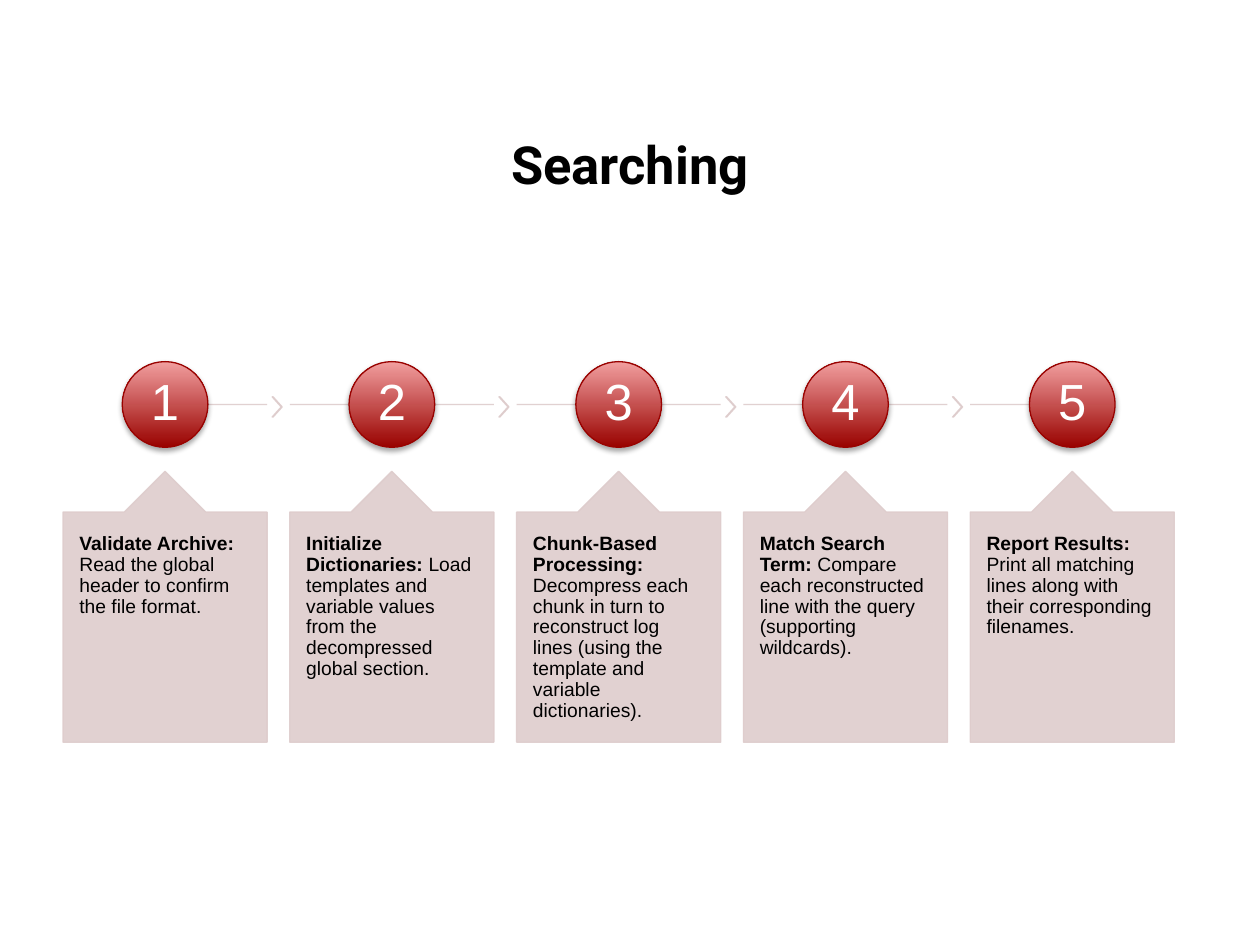
from lxml import etree
from pptx import Presentation
from pptx.dml.color import RGBColor
from pptx.enum.shapes import MSO_CONNECTOR, MSO_SHAPE
from pptx.enum.text import MSO_ANCHOR, PP_ALIGN
from pptx.oxml.ns import qn
from pptx.util import Inches, Pt

LINE = MSO_CONNECTOR.STRAIGHT
CHEVRON, CIRCLE, CALLOUT = MSO_SHAPE.CHEVRON, MSO_SHAPE.OVAL, MSO_SHAPE.UP_ARROW_CALLOUT
TOP, MIDDLE = MSO_ANCHOR.TOP, MSO_ANCHOR.MIDDLE
LEFT, CENTER = PP_ALIGN.LEFT, PP_ALIGN.CENTER

STEPS = [
    ("Validate Archive:", " Read the global header to confirm the file format."),
    ("Initialize Dictionaries:", " Load templates and variable values from the decompressed global section."),
    ("Chunk-Based Processing:", " Decompress each chunk in turn to reconstruct log lines "
     "(using the template and variable dictionaries)."),
    ("Match Search Term:", " Compare each reconstructed line with the query (supporting wildcards)."),
    ("Report Results:", " Print all matching lines along with their corresponding filenames."),
]
X0, PITCH, CARD_W = 0.5, 1.8, 1.62
RAIL_Y, BALL = 3.21, 0.68


def rgb(value):
    return RGBColor.from_string(value)


class Deck:
    black, white = "000000", "FFFFFF"
    pale, dark, light = "DECCCC", "990200", "F19F9F"

    def __init__(self, s):
        self.s = s

    def sub(self, parent, tag, **attrs):
        return etree.SubElement(parent, qn(tag), {k: str(v) for k, v in attrs.items()})

    def fade(self, sp):
        for color in sp._element.spPr.iter(qn("a:srgbClr")):
            self.sub(color, "a:alpha", val=90000)

    def outline(self, sp, color):
        sp.line.color.rgb = rgb(color)
        sp.line.width = Pt(0.75)

    def rail(self, x1, x2):
        c = self.s.shapes.add_connector(LINE, *map(Inches, (x1, RAIL_Y, x2, RAIL_Y)))
        self.outline(c, self.pale)
        self.fade(c)
        self.sub(c._element.spPr, "a:effectLst")

    def shape(self, kind, box, adjustments):
        sp = self.s.shapes.add_shape(kind, *map(Inches, box))
        sp.shadow.inherit = False
        for i, value in enumerate(adjustments):
            sp.adjustments[i] = value
        sp.fill.solid()
        sp.fill.fore_color.rgb = rgb(self.pale)
        self.outline(sp, self.pale)
        self.fade(sp)

    def ball(self, x, y):
        sp = self.s.shapes.add_shape(CIRCLE, *map(Inches, (x, y, BALL, BALL)))
        sp.fill.gradient()
        sp.fill.gradient_angle = 90
        for stop, color in zip(sp.fill.gradient_stops, (self.dark, self.light)):
            stop.color.rgb = rgb(color)
        self.outline(sp, self.dark)
        sp.shadow.inherit = False
        effects = sp._element.spPr.find(qn("a:effectLst"))
        shadow = self.sub(effects, "a:outerShdw", blurRad=Pt(3.1), dist=Pt(1.8),
                          dir=5400000, rotWithShape=0)
        self.sub(self.sub(shadow, "a:srgbClr", val=self.black), "a:alpha", val=35000)

    def text(self, box, runs, size, color, font="Arial", align=LEFT, anchor=TOP,
             inset=(0.1, 0.1), spacing=0.9):
        tf = self.s.shapes.add_textbox(*map(Inches, box)).text_frame
        dx, dy = map(Inches, inset)
        frame = {"word_wrap": True, "vertical_anchor": anchor, "margin_left": dx,
                 "margin_right": dx, "margin_top": dy, "margin_bottom": dy}
        for name, value in frame.items():
            setattr(tf, name, value)
        p = tf.paragraphs[0]
        p.alignment, p.line_spacing = align, spacing
        for content, bold in runs:
            r = p.add_run()
            r.text = content
            for name, value in {"name": font, "size": Pt(size), "bold": bold}.items():
                setattr(r.font, name, value)
            r.font.color.rgb = rgb(color)

    def step(self, i, heading, body):
        x = X0 + i * PITCH
        mid = x + CARD_W / 2
        last = len(STEPS) - 1
        self.rail(x if i else mid + 0.09, mid if i == last else x + CARD_W)
        if i < last:
            self.shape(CHEVRON, (x + 1.66, 3.15, 0.08, 0.16), [0.9])
        self.ball(mid - BALL / 2, 2.87)
        self.text((mid - 0.24, 2.97, 0.48, 0.48), [(str(i + 1), False)], 29, self.white,
                  align=CENTER, anchor=MIDDLE, inset=(0.03, 0.03))
        self.shape(CALLOUT, (x, 3.74, CARD_W, 2.15), [0.5, 0.2, 0.2, 1])
        self.text((x, 4.06, CARD_W, 1.83), [(heading, True), (body, False)], 11, self.black,
                  inset=(0.13, 0.18))


def main():
    prs = Presentation()
    prs.slide_width, prs.slide_height = Inches(10), Inches(7.5)
    deck = Deck(prs.slides.add_slide(prs.slide_layouts[6]))
    deck.text((0.5, 0.87, 9, 0.85), [("Searching", True)], 30, deck.black, font="Roboto",
              align=CENTER, anchor=MIDDLE, spacing=1.0)
    for i, (heading, body) in enumerate(STEPS):
        deck.step(i, heading, body)
    prs.save("out.pptx")


if __name__ == "__main__":
    main()
